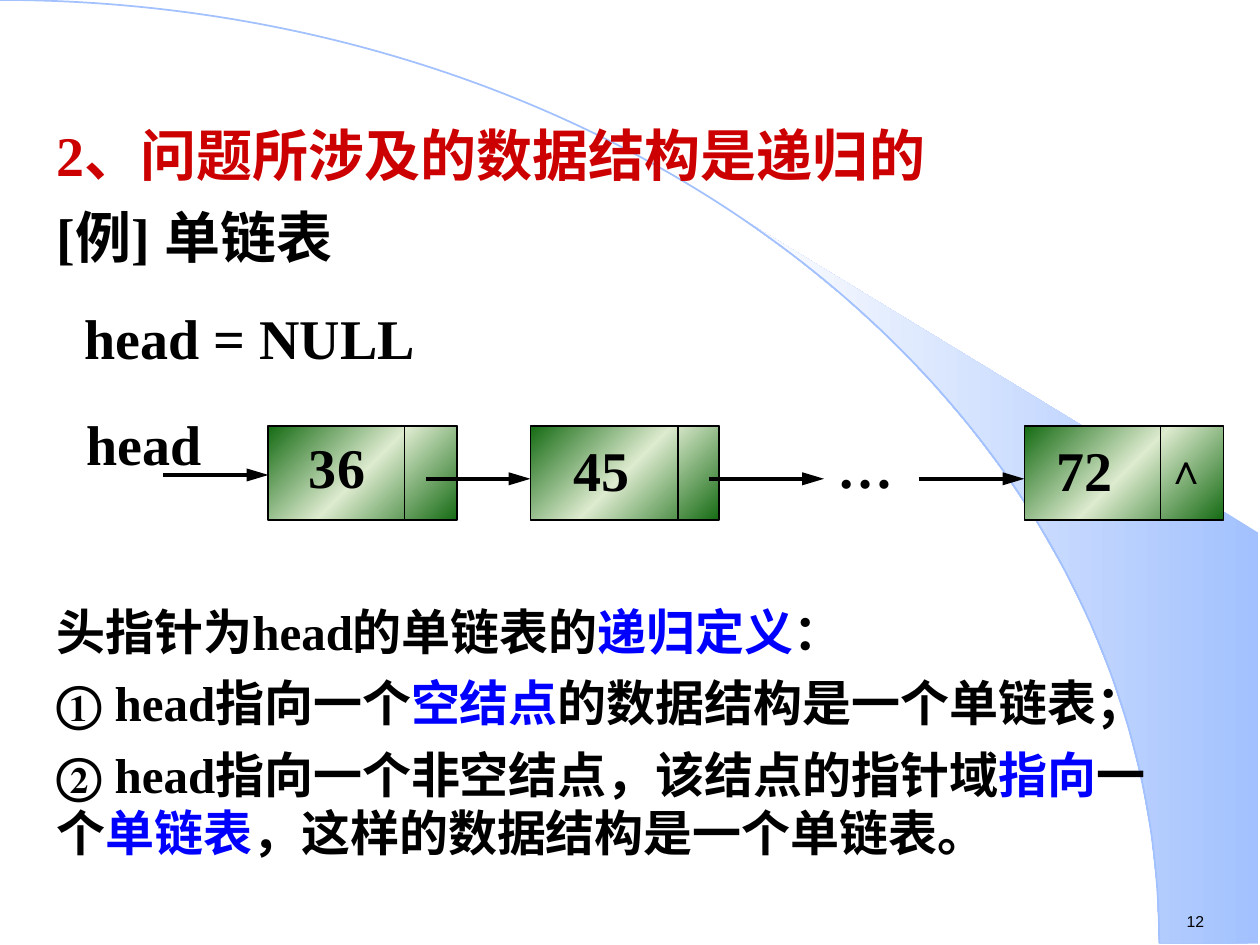
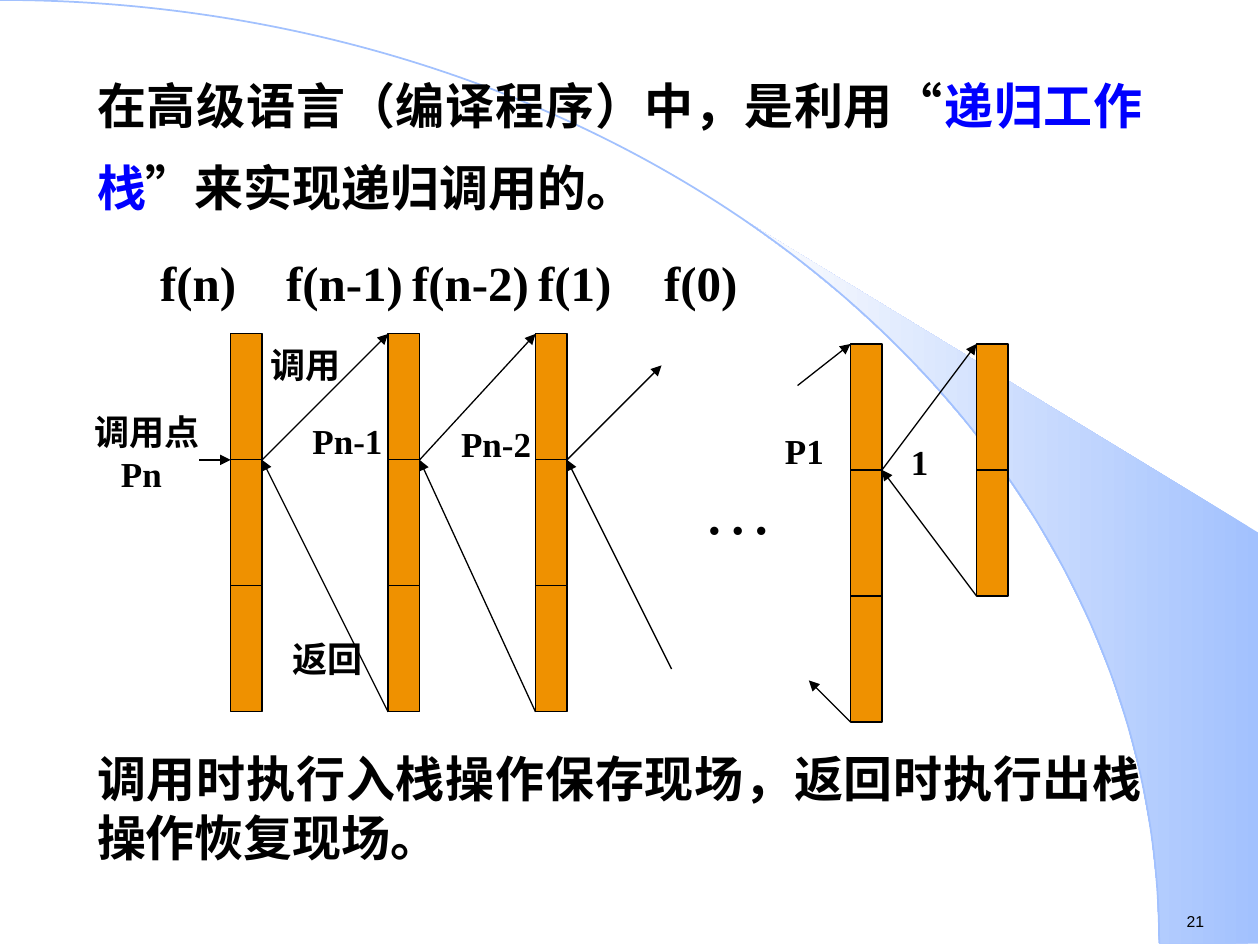
from copy import deepcopy
from dataclasses import dataclass
from math import cos, radians, sin
from typing import NamedTuple

from lxml import etree
from pptx import Presentation
from pptx import util as u
from pptx.dml.color import RGBColor
from pptx.enum import shapes, text
from pptx.oxml.ns import qn

PX = 9144  # EMU per px, 100 px to the inch
WIDTH, HEIGHT = 1000, 750
COLOURS = {
    "black": "000000",
    "red": "CC0000",
    "blue": "0000FF",
    "sky": "A2C1FE",
    "mist": "FEFEFE",
    "green": "156B13",
    "pale": "DDEBCF",
    "orange": "EF9100",
}
LEFT, CENTER, JUSTIFY = text.PP_ALIGN.LEFT, text.PP_ALIGN.CENTER, text.PP_ALIGN.JUSTIFY


class Box(NamedTuple):
    left: int
    top: int
    width: int
    height: int


@dataclass
class Line:
    """One paragraph; words between asterisks are blue."""
    words: str
    size: int = 32
    colour: str = "black"
    bold: bool = True
    font: str = "Times New Roman"
    align: text.PP_ALIGN = LEFT
    before: int = 0
    spacing: float = 1.0
    indent: int = 0
    tabs: tuple[int, ...] = ()


class Label(NamedTuple):
    box: Box
    line: Line


class Arrow(NamedTuple):
    start: tuple[int, int]
    end: tuple[int, int]


class Node(NamedTuple):
    left: int
    width: int
    divider: int


class Stack(NamedTuple):
    left: int
    top: int
    cells: int


# Shared drawing
def rgb(name: str) -> RGBColor:
    return RGBColor.from_string(COLOURS[name])


def emu(values) -> list[int]:
    return [value * PX for value in values]


def write(frame, lines: list[Line]) -> None:
    frame.vertical_anchor = text.MSO_ANCHOR.TOP
    for number, line in enumerate(lines):
        paragraph = frame.add_paragraph() if number else frame.paragraphs[0]
        paragraph.alignment = line.align
        paragraph.line_spacing = line.spacing
        paragraph.space_before = u.Pt(line.before)
        properties = paragraph._p.get_or_add_pPr()
        properties.set("marL", str(line.indent * PX))
        properties.set("indent", "0")
        etree.SubElement(properties, qn("a:buNone"))
        if line.tabs:
            stops = etree.SubElement(properties, qn("a:tabLst"))
            for stop in line.tabs:
                etree.SubElement(stops, qn("a:tab"), pos=str(stop * PX), algn="l")
        for part, words in enumerate(line.words.split("*")):
            run = paragraph.add_run()
            run.text = words
            run.font.name = line.font
            run.font.size = u.Pt(line.size)
            run.font.bold = line.bold
            run.font.color.rgb = rgb("blue" if part % 2 else line.colour)


def add_text(slide, box: Box, lines: list[Line], inset: bool = True,
             wrap: bool = True) -> None:
    frame = slide.shapes.add_textbox(*emu(box)).text_frame
    frame.word_wrap = wrap
    frame.auto_size = text.MSO_AUTO_SIZE.SHAPE_TO_FIT_TEXT
    if not inset:
        frame.margin_left = frame.margin_right = 0
        frame.margin_top = frame.margin_bottom = 0
    write(frame, lines)


def set_body(slide, box: Box, lines: list[Line]) -> None:
    body = slide.placeholders[1]
    body.left, body.top, body.width, body.height = emu(box)
    body.text_frame.word_wrap = True
    body.text_frame.auto_size = text.MSO_AUTO_SIZE.NONE
    write(body.text_frame, lines)


def add_page_number(slide, number: int) -> None:
    line = Line(str(number), size=9, bold=False, font="Arial")
    add_text(slide, Box(932, 719, 77, 25), [line], wrap=False)


def set_gradient(shape, names: list[str], angle: int) -> None:
    shape.fill.gradient()
    shape.fill.gradient_angle = angle
    stops = shape.element.find(".//" + qn("a:gsLst"))
    while len(stops) < len(names):
        stops.append(deepcopy(stops[-1]))
    for number, (stop, name) in enumerate(zip(shape.fill.gradient_stops, names)):
        stop.color.rgb = rgb(name)
        stop.position = number / (len(names) - 1)


def add_preset(slide, kind, box: Box, colour: str, line_width: float):
    shape = slide.shapes.add_shape(kind, *emu(box))
    shape.shadow.inherit = False
    shape.line.color.rgb = rgb(colour)
    shape.line.width = u.Pt(line_width)
    return shape


def add_rectangle(slide, box: Box, line_width: float):
    return add_preset(slide, shapes.MSO_SHAPE.RECTANGLE, box, "black", line_width)


def add_line(slide, line: Arrow, width: float, head: str = "") -> None:
    connector = slide.shapes.add_connector(
        shapes.MSO_CONNECTOR.STRAIGHT, *emu(line.start + line.end))
    connector.line.color.rgb = rgb("black")
    connector.line.width = u.Pt(width)
    properties = connector.element.spPr
    if head:
        outline = properties.find(qn("a:ln"))
        etree.SubElement(outline, qn("a:tailEnd"), type="triangle", w="med", len=head)
    etree.SubElement(properties, qn("a:effectLst"))


# Backdrop: a quarter ellipse and the shaded wedge outside it
def add_backdrop(slide) -> None:
    steps = 15
    angles = [radians(40 + 50 * step / steps) for step in range(steps + 1)]
    curve = [(round(920 * PX * sin(angle)), round(749 * PX * (1 - cos(angle))))
             for angle in angles]
    builder = slide.shapes.build_freeform(*curve[0])
    builder.add_line_segments(
        curve[1:] + [(999 * PX, 749 * PX), (999 * PX, 423 * PX)], close=True)
    wedge = builder.convert_to_shape()
    wedge.shadow.inherit = False
    set_gradient(wedge, ["sky", "mist"], 180)
    wedge.line.fill.background()

    arc = add_preset(slide, shapes.MSO_SHAPE.ARC, Box(-920, 0, 1840, 1497), "sky", 1)
    arc.fill.background()
    # Move both to the layout, so that every slide shows them
    for number, shape in enumerate((wedge, arc), start=101):
        shape.element.nvSpPr.cNvPr.set("id", str(number))
        slide.slide_layout.shapes.element.append(shape.element)


# Slide: linked list
def draw_linked_list(slide) -> None:
    set_body(slide, Box(35, 91, 914, 614), [
        Line("2、问题所涉及的数据结构是递归的", colour="red", align=JUSTIFY),
        Line("[例] 单链表", before=8),
        Line("head = NULL", before=8, spacing=1.3, indent=22),
        Line("头指针为head的单链表的*递归定义*：", size=28, before=122, spacing=1.3),
        Line("① head指向一个*空结点*的数据结构是一个单链表；", size=28, before=7),
        Line("② head指向一个非空结点，该结点的指针域*指向*一个*单链表*"
             "，这样的数据结构是一个单链表。", size=28, before=7),
    ])

    top, height = 338, 75
    for node in (Node(813, 158, 921), Node(213, 150, 321), Node(421, 150, 538)):
        cell = add_rectangle(slide, Box(node.left, top, node.width, height), 1)
        set_gradient(cell, ["green", "pale", "green"], 135)
        add_line(slide, Arrow((node.divider, top), (node.divider, top + height)), 1)

    for start, end, level in ((129, 213, 377), (338, 421, 380),
                              (563, 654, 380), (729, 813, 380)):
        add_line(slide, Arrow((start, level), (end, level)), 2.5, head="lg")

    for label in (
        Label(Box(224, 343, 87, 53), Line("36", align=CENTER)),
        Label(Box(438, 356, 78, 43), Line("45", align=CENTER, spacing=0.8)),
        Label(Box(821, 356, 80, 43), Line("72", align=CENTER, spacing=0.8)),
        Label(Box(925, 351, 39, 40), Line("∧", size=24)),
    ):
        add_text(slide, label.box, [label.line], inset=False)
    add_text(slide, Box(59, 320, 134, 64), [Line("head")])
    add_text(slide, Box(655, 338, 75, 64), [Line("…")])


# Slide: recursion work stack
def draw_work_stack(slide) -> None:
    set_body(slide, Box(67, 36, 850, 677), [
        Line("在高级语言（编译程序）中，是利用“*递归工作栈*”来实现递归调用的。",
             size=28, align=JUSTIFY, spacing=1.4),
        Line("\tf(n)\tf(n-1)\tf(n-2)\tf(1)\tf(0)", size=28, before=7, spacing=1.4,
             tabs=(77, 215, 356, 556, 682)),
        Line("调用时执行入栈操作保存现场，返回时执行出栈操作恢复现场。",
             size=28, align=JUSTIFY, before=250),
    ])

    cell_width, cell_height = 25, 100
    stacks = [Stack(183, 265, 3), Stack(308, 265, 3), Stack(425, 265, 3),
              Stack(675, 273, 3), Stack(775, 273, 2)]
    for stack in stacks:
        for row in range(stack.cells):
            box = Box(stack.left, stack.top + row * cell_height, cell_width, cell_height)
            cell = add_rectangle(slide, box, 0.75)
            cell.fill.solid()
            cell.fill.fore_color.rgb = rgb("orange")

    # Calls go to the top of the next stack, returns come from its bottom
    arrows = [
        Arrow((450, 365), (525, 290)),
        Arrow((633, 306), (675, 273)),
        Arrow((675, 573), (642, 540)),
        Arrow((533, 531), (450, 365)),
        Arrow((158, 365), (183, 365)),
    ]
    for caller, callee in ((0, 1), (1, 2), (3, 4)):
        source, target = stacks[caller], stacks[callee]
        call_point = (source.left + cell_width, source.top + cell_height)
        bottom = target.top + target.cells * cell_height
        arrows += [Arrow(call_point, (target.left, target.top)),
                   Arrow((target.left, bottom), call_point)]
    for arrow in arrows:
        add_line(slide, arrow, 0.75, head="med")

    for left, top, width, name in (
        (215, 273, 56, "调用"), (232, 506, 56, "返回"), (248, 333, 56, "Pn-1"),
        (366, 335, 56, "Pn-2"), (623, 341, 31, "P1"), (723, 350, 14, "1"),
    ):
        add_text(slide, Box(left, top, width, 33), [Line(name, size=20)],
                 inset=False, wrap=False)
    add_text(slide, Box(75, 326, 84, 67),
             [Line("调用点", size=20), Line("Pn", size=20, indent=21)],
             inset=False, wrap=False)
    add_text(slide, Box(548, 364, 75, 77), [Line("…", size=40, bold=False)], wrap=False)


def main() -> None:
    presentation = Presentation()
    presentation.slide_width, presentation.slide_height = emu((WIDTH, HEIGHT))
    title_and_body = presentation.slide_layouts[1]
    for number, draw in ((12, draw_linked_list), (21, draw_work_stack)):
        slide = presentation.slides.add_slide(title_and_body)
        title = slide.shapes.title.element
        title.getparent().remove(title)
        if len(presentation.slides) == 1:
            add_backdrop(slide)
        draw(slide)
        add_page_number(slide, number)
    presentation.save("out.pptx")


if __name__ == "__main__":
    main()
